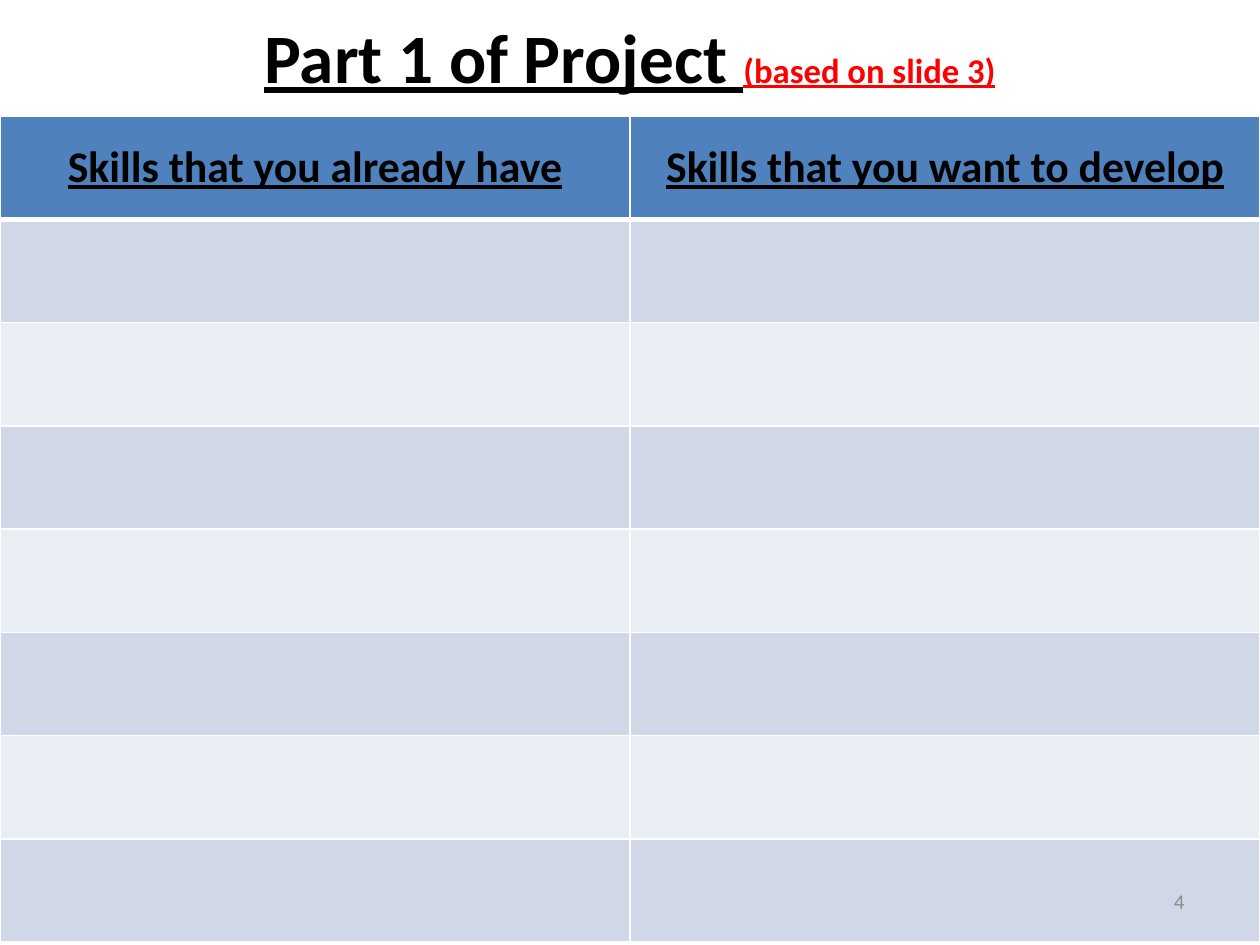
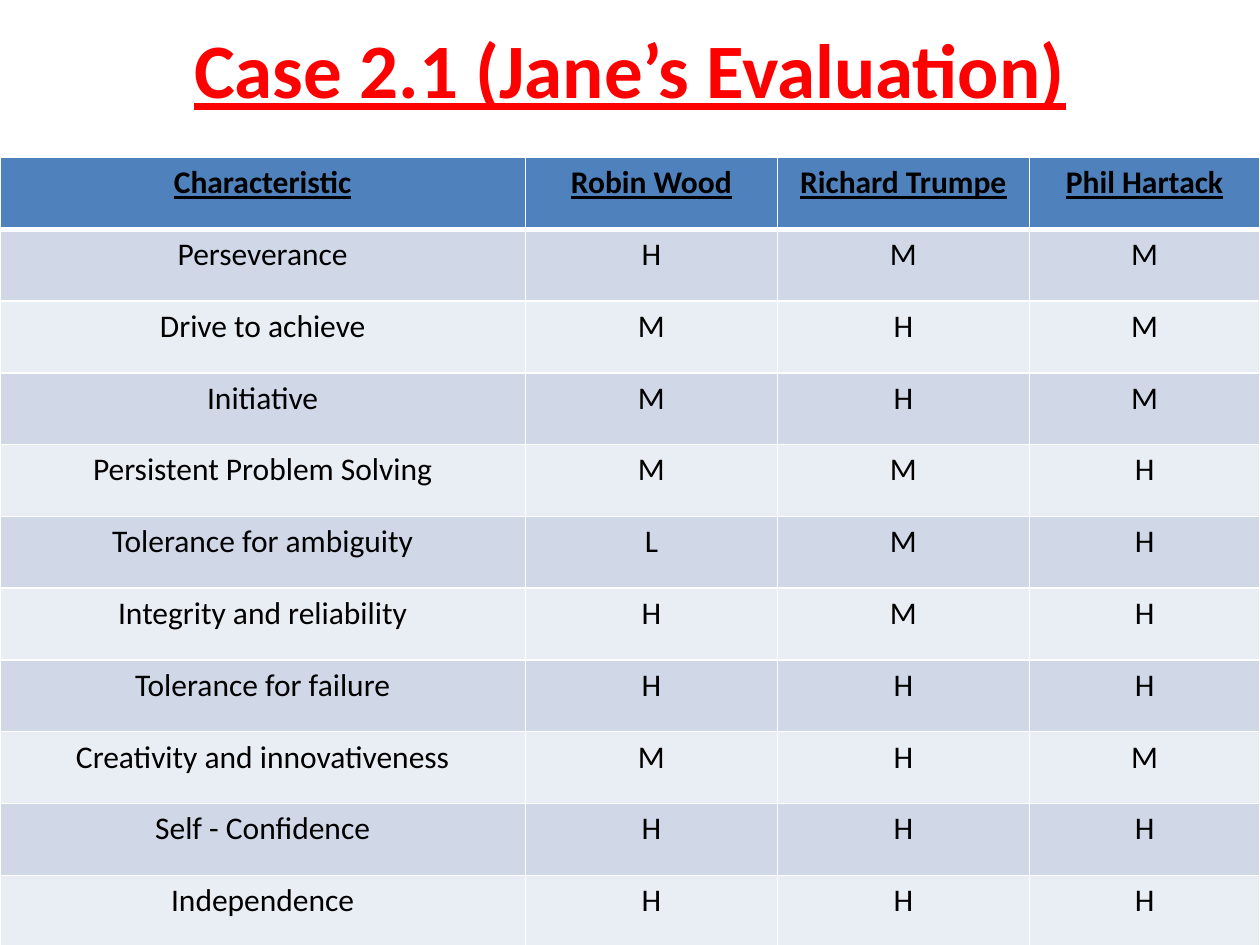
import pptx
import pptx.util
import pptx.dml.color
import pptx.enum.text
import pptx.oxml.ns
from lxml import etree
from pptx.util import Inches

COLORS = {
    "black": "000000",
    "red": "FF0000",
    "white": "FFFFFF",
    "header": "4F81BD",
    "band_dark": "D0D8E8",
    "band_light": "E9EDF4",
    "number": "8C8C8C",
}
FONT = "Calibri"
ALIGN = pptx.enum.text.PP_ALIGN
ANCHOR = pptx.enum.text.MSO_ANCHOR
qn = pptx.oxml.ns.qn


def add_run(paragraph, text, size, color, emphasis=False):
    run = paragraph.add_run()
    run.text = text
    run.font.name = FONT
    run.font.size = pptx.util.Pt(size)
    run.font.bold = emphasis
    run.font.underline = emphasis
    run.font.color.rgb = pptx.dml.color.RGBColor.from_string(COLORS[color])


def style_cell(cell, row):
    properties = cell._tc.get_or_add_tcPr()
    widths = {"L": 1, "R": 1, "T": 3 if row == 1 else 1, "B": 3 if row == 0 else 1}
    for side, width in widths.items():
        border = etree.SubElement(properties, qn(f"a:ln{side}"), w=str(pptx.util.Pt(width)))
        fill = etree.SubElement(border, qn("a:solidFill"))
        etree.SubElement(fill, qn("a:srgbClr"), val=COLORS["white"])
    band = "header" if row == 0 else "band_dark" if row % 2 else "band_light"
    cell.fill.solid()
    cell.fill.fore_color.rgb = pptx.dml.color.RGBColor.from_string(COLORS[band])


skills = [["Skills that you already have", "Skills that you want to develop"]]
skills += [["", ""]] * 7

evaluation = [["Characteristic", "Robin Wood", "Richard Trumpe", "Phil Hartack"]]
ratings = {
    "Perseverance": "HMM",
    "Drive to achieve": "MHM",
    "Initiative": "MHM",
    "Persistent Problem Solving": "MMH",
    "Tolerance for ambiguity": "LMH",
    "Integrity and reliability": "HMH",
    "Tolerance for failure": "HHH",
    "Creativity and innovativeness": "MHM",
    "Self - Confidence": "HHH",
    "Independence": "HHH",
}
evaluation += [[characteristic, *grades] for characteristic, grades in ratings.items()]

pages = [
    {
        "title": [("Part 1 of Project ", 39.6, "black"), ("(based on slide 3)", 19.8, "red")],
        "title_top": 0.3, "title_height": 0.28,
        "rows": skills, "columns": [5, 5], "top": 0.92, "row_height": 0.82,
        "size": 25, "anchor": ANCHOR.MIDDLE, "number": "4",
    },
    {
        "title": [("Case 2.1 (Jane’s Evaluation)", 44, "red")],
        "title_top": 0.08, "title_height": 0.92,
        "rows": evaluation, "columns": [4.17, 2, 2, 1.83], "top": 1.25, "row_height": 0.57,
        "size": 18, "anchor": ANCHOR.TOP, "number": None,
    },
]

deck = pptx.Presentation()
deck.slide_width = Inches(10)
deck.slide_height = Inches(7.5)

for page in pages:
    slide = deck.slides.add_slide(deck.slide_layouts[5])
    title = slide.shapes.title
    title.left, title.width = Inches(0.5), Inches(9)
    title.top, title.height = Inches(page["title_top"]), Inches(page["title_height"])
    title.text_frame.vertical_anchor = ANCHOR.MIDDLE
    title.text_frame.auto_size = pptx.enum.text.MSO_AUTO_SIZE.NONE
    heading = title.text_frame.paragraphs[0]
    heading.alignment = ALIGN.CENTER
    for text, size, color in page["title"]:
        add_run(heading, text, size, color, True)

    rows = page["rows"]
    grid = slide.shapes.add_table(
        len(rows), len(page["columns"]), 0, Inches(page["top"]),
        Inches(10), Inches(page["row_height"] * len(rows)),
    ).table
    for column, width in zip(grid.columns, page["columns"]):
        column.width = Inches(width)
    for r, entries in enumerate(rows):
        grid.rows[r].height = Inches(page["row_height"])
        for c, entry in enumerate(entries):
            cell = grid.cell(r, c)
            style_cell(cell, r)
            cell.vertical_anchor = page["anchor"]
            if entry:
                paragraph = cell.text_frame.paragraphs[0]
                paragraph.alignment = ALIGN.CENTER
                add_run(paragraph, entry, page["size"], "black", r == 0)

    if page["number"]:
        footer = slide.shapes.add_textbox(Inches(7.17), Inches(6.95), Inches(2.33), Inches(0.4))
        footer.text_frame.word_wrap = True
        footer.text_frame.vertical_anchor = ANCHOR.MIDDLE
        paragraph = footer.text_frame.paragraphs[0]
        paragraph.alignment = ALIGN.RIGHT
        add_run(paragraph, page["number"], 12, "number")

deck.save("out.pptx")
